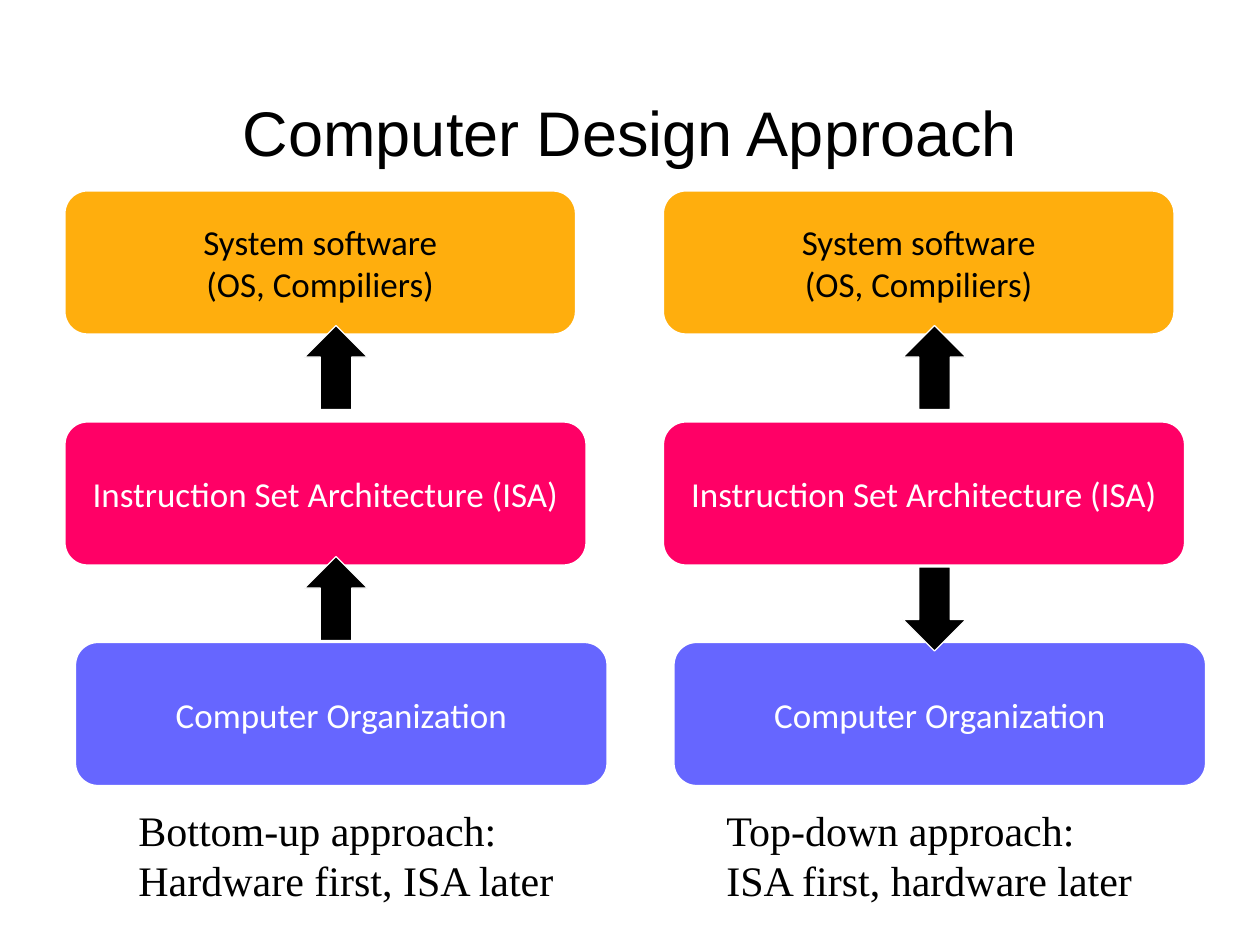
from pptx import Presentation
from pptx.dml.color import RGBColor
from pptx.enum.shapes import MSO_SHAPE
from pptx.enum.text import MSO_ANCHOR, PP_ALIGN
from pptx.util import Pt

ROUNDED = MSO_SHAPE.ROUNDED_RECTANGLE
DOWN_ARROW = MSO_SHAPE.DOWN_ARROW
MIDDLE, TOP = MSO_ANCHOR.MIDDLE, MSO_ANCHOR.TOP
CENTER, LEFT = PP_ALIGN.CENTER, PP_ALIGN.LEFT

THEME = {
    "black": RGBColor(0x00, 0x00, 0x00),
    "white": RGBColor(0xFF, 0xFF, 0xFF),
    "orange": RGBColor(0xFF, 0xAE, 0x0D),
    "pink": RGBColor(0xFF, 0x00, 0x66),
    "violet": RGBColor(0x66, 0x66, 0xFF),
    "title": ("Arial", 36),
    "layer": ("Calibri", 20),
    "caption": ("Times New Roman", 24),
}

TITLE = "Computer Design Approach"

# text, fill, text colour, offset from the column, top, width
LAYERS = [
    ("Instruction Set Architecture (ISA)", "pink", "white", 0, 240, 300),
    ("System software\n(OS, Compiliers)", "orange", "black", 0, 108, 294),
    ("Computer Organization", "violet", "white", 6, 366, 306),
]
LAYER_HEIGHT = 84

# arrows: (top, rotation); caption box: (left, top, width, height)
APPROACHES = [
    {"left": 36, "arrows": [(318, 180), (186, 180)],
     "caption": "Bottom-up approach:\nHardware first, ISA later",
     "caption_box": (72, 456, 306, 65.5)},
    {"left": 378, "arrows": [(324, 0), (186, 180)],
     "caption": "Top-down approach:\nISA first, hardware later",
     "caption_box": (408, 456, 312, 65.5)},
]
ARROW_OFFSET, ARROW_WIDTH, ARROW_HEIGHT = 138, 36, 48


def write(shape, text, style, color, alignment, anchor, wrap):
    font_name, font_size = THEME[style]
    text_frame = shape.text_frame
    text_frame.text = text
    text_frame.word_wrap = wrap
    text_frame.vertical_anchor = anchor
    for paragraph in text_frame.paragraphs:
        paragraph.alignment = alignment
        for run in paragraph.runs:
            run.font.name = font_name
            run.font.size = Pt(font_size)
            run.font.color.rgb = THEME[color]


def add_text(slide, box, text, style, alignment, anchor):
    text_box = slide.shapes.add_textbox(*map(Pt, box))
    write(text_box, text, style, "black", alignment, anchor, True)


def add_outlined_shape(slide, kind, box, fill, line_width):
    shape = slide.shapes.add_shape(kind, *map(Pt, box))
    shape.shadow.inherit = False
    shape.fill.solid()
    shape.fill.fore_color.rgb = THEME[fill]
    shape.line.color.rgb = THEME["white"]
    shape.line.width = Pt(line_width)
    return shape


def add_approach(slide, approach):
    left = approach["left"]
    for text, fill, text_color, offset, top, width in LAYERS:
        box = (left + offset, top, width, LAYER_HEIGHT)
        layer = add_outlined_shape(slide, ROUNDED, box, fill, 3)
        write(layer, text, "layer", text_color, CENTER, MIDDLE, False)
    for top, rotation in approach["arrows"]:
        box = (left + ARROW_OFFSET, top, ARROW_WIDTH, ARROW_HEIGHT)
        arrow = add_outlined_shape(slide, DOWN_ARROW, box, "black", 0.75)
        arrow.rotation = rotation
    add_text(slide, approach["caption_box"], approach["caption"], "caption", LEFT, TOP)


def main():
    presentation = Presentation()
    presentation.slide_width, presentation.slide_height = Pt(720), Pt(540)
    slide = presentation.slides.add_slide(presentation.slide_layouts[6])
    add_text(slide, (54, 30, 612, 90), TITLE, "title", CENTER, MIDDLE)
    for approach in APPROACHES:
        add_approach(slide, approach)
    presentation.save("out.pptx")


if __name__ == "__main__":
    main()
